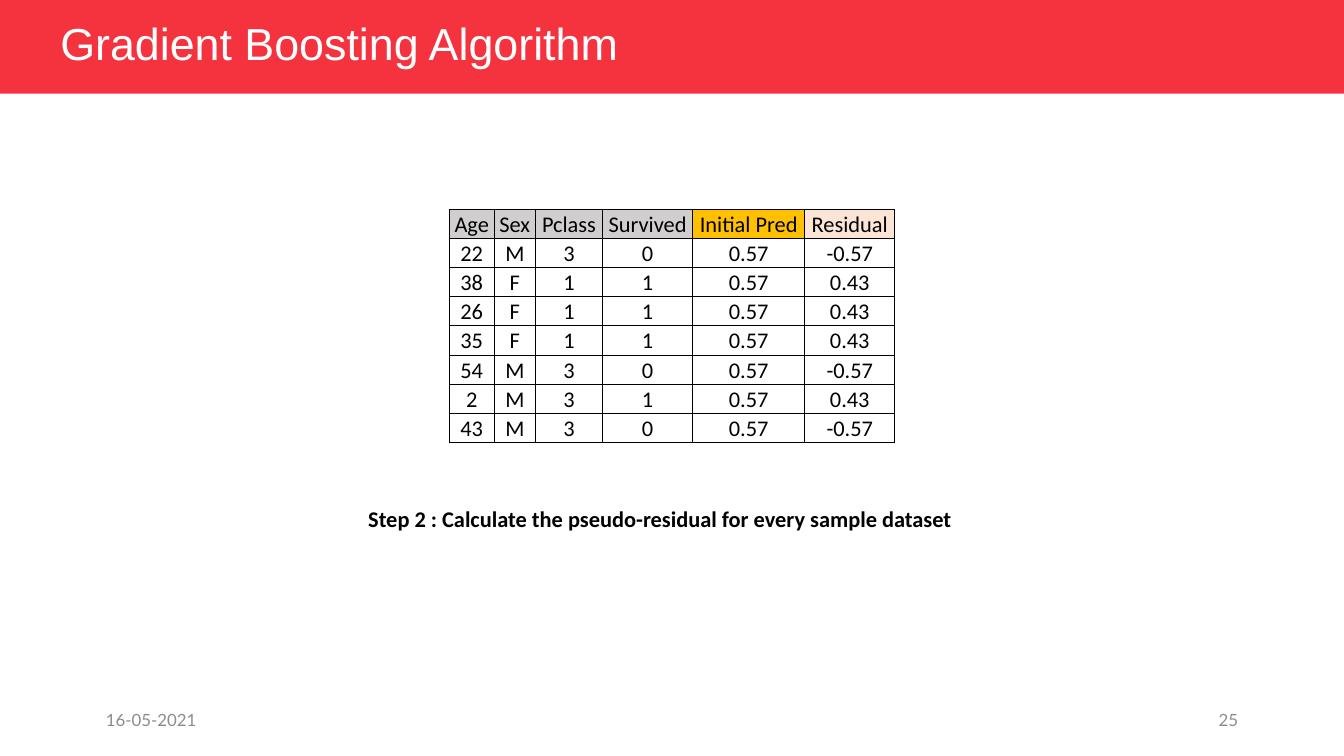
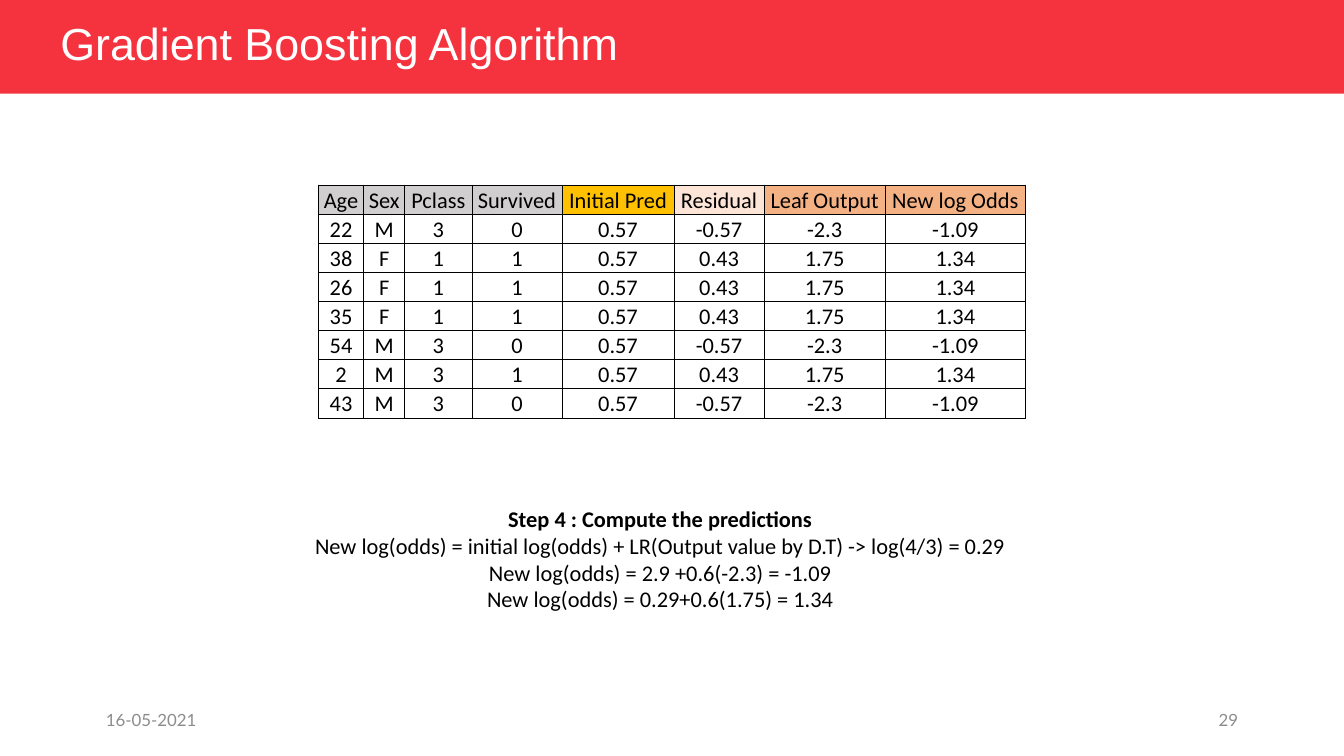
from lxml.etree import SubElement
from pptx import Presentation
from pptx.dml.color import RGBColor
from pptx.enum.shapes import MSO_SHAPE
from pptx.enum.text import MSO_ANCHOR as Anchor, MSO_AUTO_SIZE as AutoSize, PP_ALIGN as Align
from pptx.oxml.ns import qn
from pptx.util import Cm, Pt

RED = RGBColor(0xF5, 0x33, 0x3F)
WHITE = RGBColor(0xFF, 0xFF, 0xFF)
BLACK = RGBColor(0x00, 0x00, 0x00)
FOOTER_GREY = RGBColor(0x8C, 0x8C, 0x8C)
HEADER_GREY = RGBColor(0xD0, 0xCE, 0xCE)
AMBER = RGBColor(0xFF, 0xC0, 0x00)
PEACH = RGBColor(0xFC, 0xE4, 0xD6)
ORANGE = RGBColor(0xF4, 0xB1, 0x83)

WIDTH, HEIGHT = 25.4, 14.29
ROW_HEIGHT = 0.55

# Heading, width in cm, heading fill
COLUMNS = [
    ("Age", 0.85, HEADER_GREY),
    ("Sex", 0.78, HEADER_GREY),
    ("Pclass", 1.27, HEADER_GREY),
    ("Survived", 1.7, HEADER_GREY),
    ("Initial Pred", 2.12, AMBER),
    ("Residual", 1.7, PEACH),
    ("Leaf Output", 2.29, ORANGE),
    ("New log Odds", 2.65, ORANGE),
]
PASSENGERS = [
    ("22", "M", "3", "0"),
    ("38", "F", "1", "1"),
    ("26", "F", "1", "1"),
    ("35", "F", "1", "1"),
    ("54", "M", "3", "0"),
    ("2", "M", "3", "1"),
    ("43", "M", "3", "0"),
]
# Model values that depend only on whether the passenger survived
MODEL_VALUES = {
    "0": ("0.57", "-0.57", "-2.3", "-1.09"),
    "1": ("0.57", "0.43", "1.75", "1.34"),
}


def write(para, text, font="Calibri", size=12, color=BLACK, bold=False,
          align=Align.LEFT, line_spacing=None):
    para.alignment = align
    if line_spacing:
        para.line_spacing = line_spacing
    span = para.add_run()
    span.text = text
    span.font.name = font
    span.font.size = Pt(size)
    span.font.bold = bold
    span.font.color.rgb = color


def outline(cell):
    """Draw a thin black border on all four sides; call before setting the fill."""
    properties = cell._tc.get_or_add_tcPr()
    for side in ("a:lnL", "a:lnR", "a:lnT", "a:lnB"):
        line = SubElement(properties, qn(side), w=str(Pt(0.5)))
        fill = SubElement(line, qn("a:solidFill"))
        SubElement(fill, qn("a:srgbClr"), val=str(BLACK))


class Deck:
    def __init__(self):
        self.deck = Presentation()
        self.deck.slide_width = Cm(WIDTH)
        self.deck.slide_height = Cm(HEIGHT)
        self.page = None

    def add_page(self, title, date, number):
        self.page = self.deck.slides.add_slide(self.deck.slide_layouts[6])
        self.band()
        footer = dict(font="Lato", size=9, color=FOOTER_GREY)
        self.label(date, 1.75, 13.23, 5.72, 0.76, **footer)
        self.label(number, 17.93, 13.23, 5.72, 0.76, align=Align.RIGHT, **footer)
        self.label(title, 0.89, 0.33, 16.26, 1.07, font="Arial", size=24,
                   color=WHITE, line_spacing=0.9)

    def band(self):
        band = self.page.shapes.add_shape(MSO_SHAPE.RECTANGLE, 0, 0, Cm(WIDTH), Cm(1.77))
        band.shadow.inherit = False
        band.fill.solid()
        band.fill.fore_color.rgb = RED
        band.line.fill.background()

    def text_frame(self, left, top, width, height):
        box = self.page.shapes.add_textbox(Cm(left), Cm(top), Cm(width), Cm(height))
        box.text_frame.word_wrap = True
        return box.text_frame

    def label(self, text, left, top, width, height, **style):
        frame = self.text_frame(left, top, width, height)
        frame.vertical_anchor = Anchor.MIDDLE
        write(frame.paragraphs[0], text, **style)

    def step(self, heading, *formulas):
        """Write a bold step heading with its formulas below the table."""
        frame = self.text_frame(2.18, 9.42, 20.6, 0.76 + 0.51 * len(formulas))
        frame.auto_size = AutoSize.SHAPE_TO_FIT_TEXT
        write(frame.paragraphs[0], heading, bold=True, align=Align.CENTER)
        for formula in formulas:
            write(frame.add_paragraph(), formula, align=Align.CENTER)

    def passenger_table(self, top, column_count):
        """Show the first column_count columns, centred across the page."""
        columns = COLUMNS[:column_count]
        rows = [[heading for heading, _, _ in columns]]
        rows += [(person + MODEL_VALUES[person[-1]])[:column_count] for person in PASSENGERS]
        width = sum(column_width for _, column_width, _ in columns)
        table = self.page.shapes.add_table(
            len(rows), column_count, Cm((WIDTH - width) / 2), Cm(top),
            Cm(width), Cm(ROW_HEIGHT * len(rows))).table
        table.first_row = table.horz_banding = False
        for column, (_, column_width, _) in zip(table.columns, columns):
            column.width = Cm(column_width)
        for row_index, row in enumerate(rows):
            table.rows[row_index].height = Cm(ROW_HEIGHT)
            for column_index, text in enumerate(row):
                fill = WHITE if row_index else columns[column_index][2]
                self.fill_cell(table.cell(row_index, column_index), text, fill)

    def fill_cell(self, cell, text, fill):
        cell.margin_left = cell.margin_right = cell.margin_top = Cm(0.02)
        cell.margin_bottom = 0
        cell.vertical_anchor = Anchor.BOTTOM
        outline(cell)
        cell.fill.solid()
        cell.fill.fore_color.rgb = fill
        write(cell.text_frame.paragraphs[0], text, align=Align.CENTER)


def main():
    slides = Deck()
    title, date = "Gradient Boosting Algorithm", "16-05-2021"

    slides.add_page(title, date, "25")
    slides.passenger_table(top=3.96, column_count=6)
    slides.step("Step 2 : Calculate the pseudo-residual for every sample dataset")

    slides.add_page(title, date, "29")
    slides.passenger_table(top=3.5, column_count=8)
    slides.step(
        "Step 4 : Compute the predictions",
        "New log(odds) = initial log(odds) + LR(Output value by D.T) -> log(4/3) = 0.29",
        "New log(odds) = 2.9 +0.6(-2.3) = -1.09",
        "New log(odds) = 0.29+0.6(1.75) = 1.34",
    )

    slides.deck.save("out.pptx")


if __name__ == "__main__":
    main()
